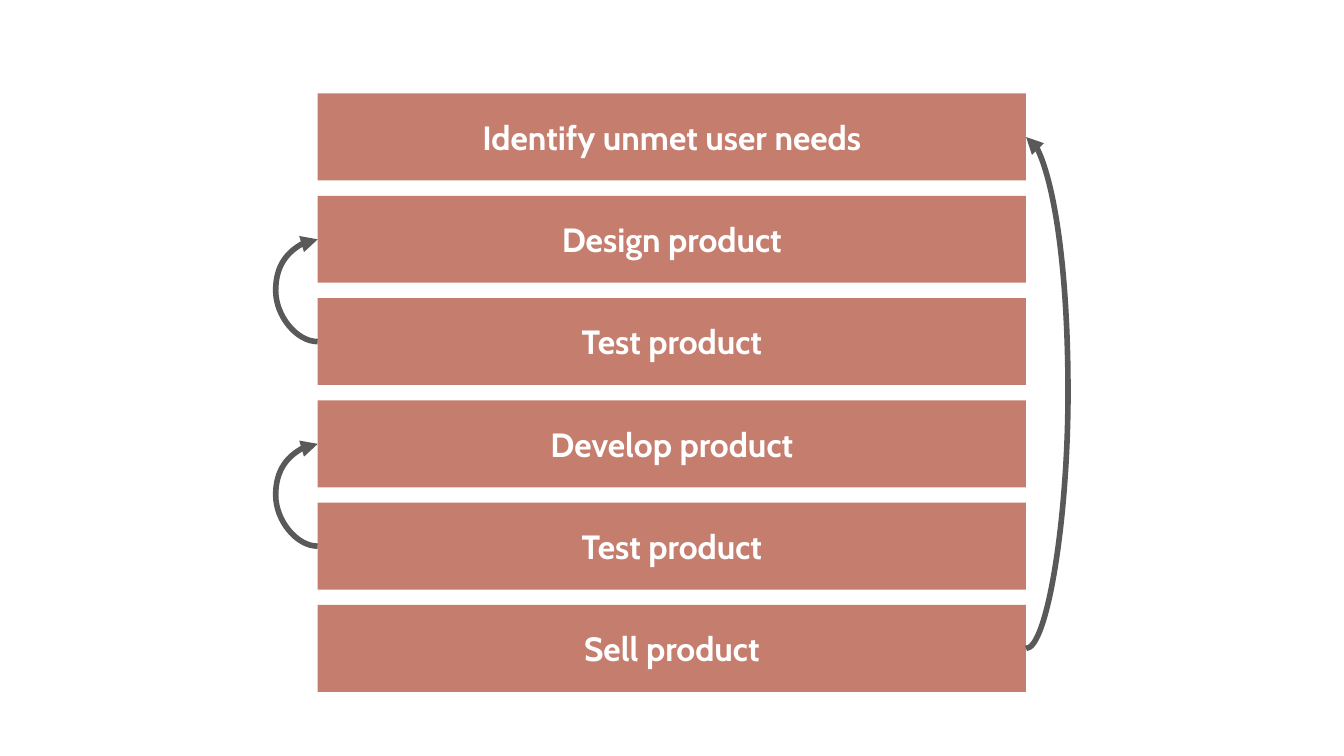
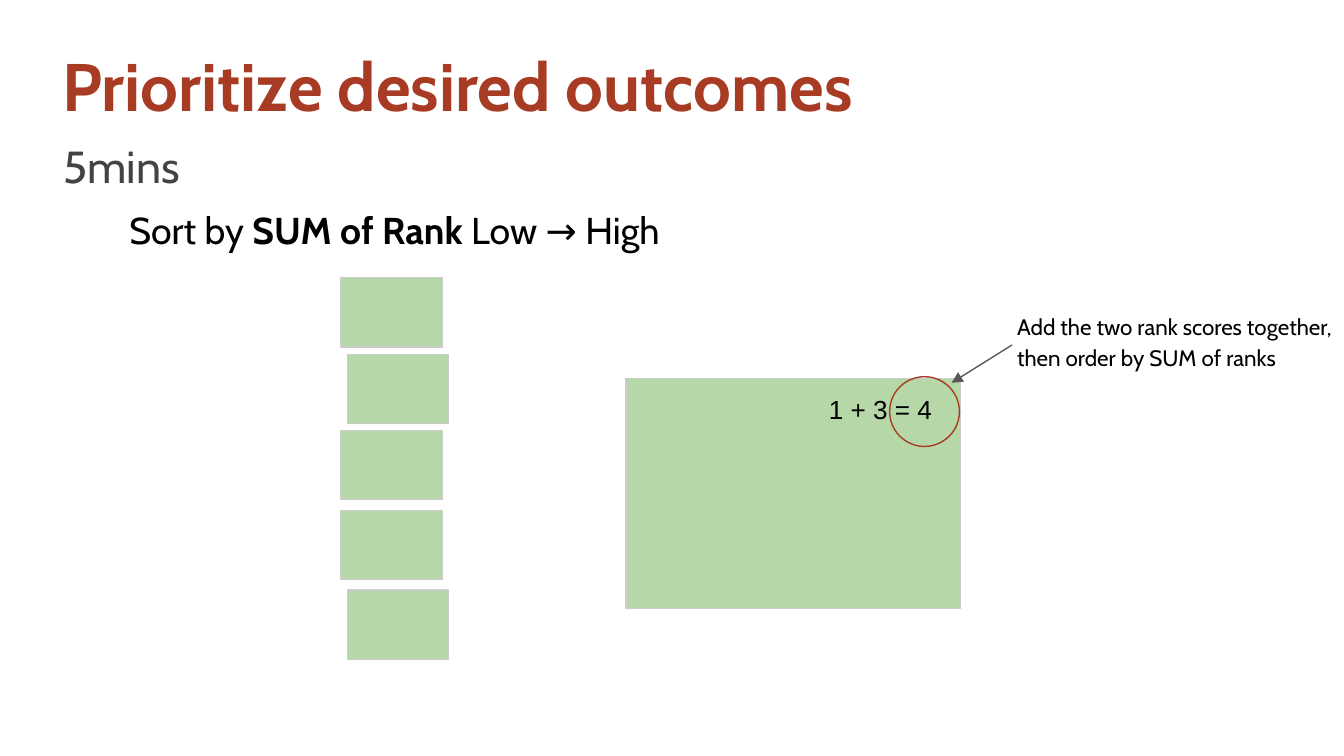
import lxml.etree
import pptx
import pptx.dml.color
import pptx.enum.shapes
import pptx.enum.text
import pptx.oxml.ns
import pptx.util

Pt = pptx.util.Pt
qn = pptx.oxml.ns.qn
SHAPE = pptx.enum.shapes.MSO_SHAPE
CONNECTOR = pptx.enum.shapes.MSO_CONNECTOR
ALIGN = pptx.enum.text.PP_ALIGN
ANCHOR = pptx.enum.text.MSO_ANCHOR

COLORS = {
    "brick": "A73B23",
    "leaf": "B6D7A8",
    "border": "CCCCCC",
    "arrow": "595959",
    "subtitle": "434343",
    "black": "000000",
    "white": "FFFFFF",
}
FONT = "Cabin"
INSET = 7.2
TOP, LEFT, BOTTOM, RIGHT = range(4)
STEPS = [
    "Identify unmet user needs",
    "Design product",
    "Test product",
    "Develop product",
    "Test product",
    "Sell product",
]
LOOPS = [(2, 1, LEFT), (4, 3, LEFT), (5, 0, RIGHT)]


def color(name):
    return pptx.dml.color.RGBColor.from_string(COLORS[name])


def write(shape, runs, size, ink="black", font=FONT, align=ALIGN.LEFT,
          anchor=ANCHOR.MIDDLE, spacing=1.0, after=0):
    frame = shape.text_frame
    frame.word_wrap = True
    frame.auto_size = pptx.enum.text.MSO_AUTO_SIZE.NONE
    frame.vertical_anchor = anchor
    frame.margin_left = frame.margin_right = Pt(INSET)
    frame.margin_top = frame.margin_bottom = Pt(INSET)
    paragraph = frame.paragraphs[0]
    paragraph.alignment = align
    paragraph.line_spacing = spacing
    paragraph.space_before = Pt(0)
    paragraph.space_after = Pt(after)
    for text, bold in runs:
        run = paragraph.add_run()
        run.text = text
        run.font.name = font
        run.font.size = Pt(size)
        run.font.bold = bold
        run.font.color.rgb = color(ink)


def add_text(slide, box, runs, size, **style):
    textbox = slide.shapes.add_textbox(*map(Pt, box))
    write(textbox, runs, size, **style)


def add_figure(slide, kind, box, fill=None, line=None, opacity=100):
    figure = slide.shapes.add_shape(kind, *map(Pt, box))
    figure.shadow.inherit = False
    if fill:
        figure.fill.solid()
        figure.fill.fore_color.rgb = color(fill)
    else:
        figure.fill.background()
    if opacity < 100:
        tint = figure._element.spPr.find(qn("a:solidFill"))[0]
        lxml.etree.SubElement(tint, qn("a:alpha"), val=str(opacity * 1000))
    if line:
        figure.line.color.rgb = color(line)
        figure.line.width = Pt(0.75)
    else:
        figure.line.fill.background()
    return figure


def add_arrow(slide, kind, start, end, weight):
    arrow = slide.shapes.add_connector(kind, *map(Pt, start + end))
    arrow.line.color.rgb = color("arrow")
    arrow.line.width = Pt(weight)
    lxml.etree.SubElement(arrow.line._get_or_add_ln(), qn("a:tailEnd"), type="triangle")
    lxml.etree.SubElement(arrow._element.spPr, qn("a:effectLst"))
    return arrow


def add_loop(slide, source, target, side):
    loop = add_arrow(slide, CONNECTOR.CURVE, (0, 0), (0, 0), 3)
    loop.begin_connect(source, side)
    loop.end_connect(target, side)
    loop.width = Pt(0.05)
    loop.rotation = 180
    properties = loop._element.spPr
    frame = properties.find(qn("a:xfrm"))
    frame.attrib.pop("flipV", None)
    frame.set("flipH", "1")
    bulge = -39687500 if side == LEFT else 39687500
    guides = properties.find(qn("a:prstGeom")).find(qn("a:avLst"))
    lxml.etree.SubElement(guides, qn("a:gd"), name="adj1", fmla=f"val {bulge}")


def add_process(slide, box):
    left, top, width, height = box
    step_height = 46.6
    pitch = (height - step_height) / (len(STEPS) - 1)
    bars = []
    for index, label in enumerate(STEPS):
        bar = add_figure(slide, SHAPE.RECTANGLE,
                         (left, top + index * pitch, width, step_height),
                         fill="brick", opacity=66)
        write(bar, [(label, True)], 18, ink="white", align=ALIGN.CENTER)
        bars.append(bar)
    for source, target, side in LOOPS:
        add_loop(slide, bars[source], bars[target], side)


def add_heading(slide, box):
    left, top, width, height = box
    title = slide.shapes.title
    title.left, title.top, title.width, title.height = map(Pt, box)
    write(title, [("Prioritize desired outcomes", True)], 36, ink="brick")
    add_text(slide, (left + 0.5, top + 46, 88.6, 44), [("5mins", False)], 24,
             ink="subtitle", spacing=1.15, after=10)
    add_text(slide, (left + 36, top + 82, 303, 41),
             [("Sort by ", False), ("SUM of Rank ", True), ("Low → High", False)],
             20, spacing=1.15)


def add_card_stack(slide, box):
    left, top, width, height = box
    card_width, card_height = 54.2, 37.2
    indent = width - card_width
    for shift, drop in [(0, 0), (indent, 41), (0, 81.8), (0, 124.6),
                        (indent, height - card_height)]:
        add_figure(slide, SHAPE.RECTANGLE,
                   (left + shift, top + drop, card_width, card_height),
                   fill="leaf", line="border")


def add_scored_card(slide, box):
    left, top, width, height = box
    add_figure(slide, SHAPE.RECTANGLE, box, fill="leaf", line="border")
    add_text(slide, (left + 101.5, top + 0.8, 70.6, 24.5), [("1 + 3 = 4", False)],
             14, font="Arial", anchor=ANCHOR.TOP)
    add_text(slide, (left + 202.4, top - 47.4, 194.4, 53.3),
             [("Add the two rank scores together, then order by SUM of ranks", False)],
             12, spacing=1.15)
    add_arrow(slide, CONNECTOR.STRAIGHT, (left + 206.8, top - 18),
              (left + 174.4, top + 2.3), 0.75)
    add_figure(slide, SHAPE.OVAL, (left + 141.2, top - 1, 37.4, 37.4), line="brick")


def build_process_slide(deck):
    slide = deck.slides.add_slide(deck.slide_layouts[6])
    add_process(slide, (170.2, 50.1, 379.5, 320.6))


def build_ranking_slide(deck):
    slide = deck.slides.add_slide(deck.slide_layouts[5])
    add_heading(slide, (26.2, 18.8, 641.5, 53.3))
    add_scored_card(slide, (335.4, 202.8, 179.2, 123.1))
    add_card_stack(slide, (182.8, 148.8, 57.6, 204.6))


def main():
    deck = pptx.Presentation()
    deck.slide_width = Pt(720)
    deck.slide_height = Pt(405)
    build_process_slide(deck)
    build_ranking_slide(deck)
    deck.save("out.pptx")


if __name__ == "__main__":
    main()
